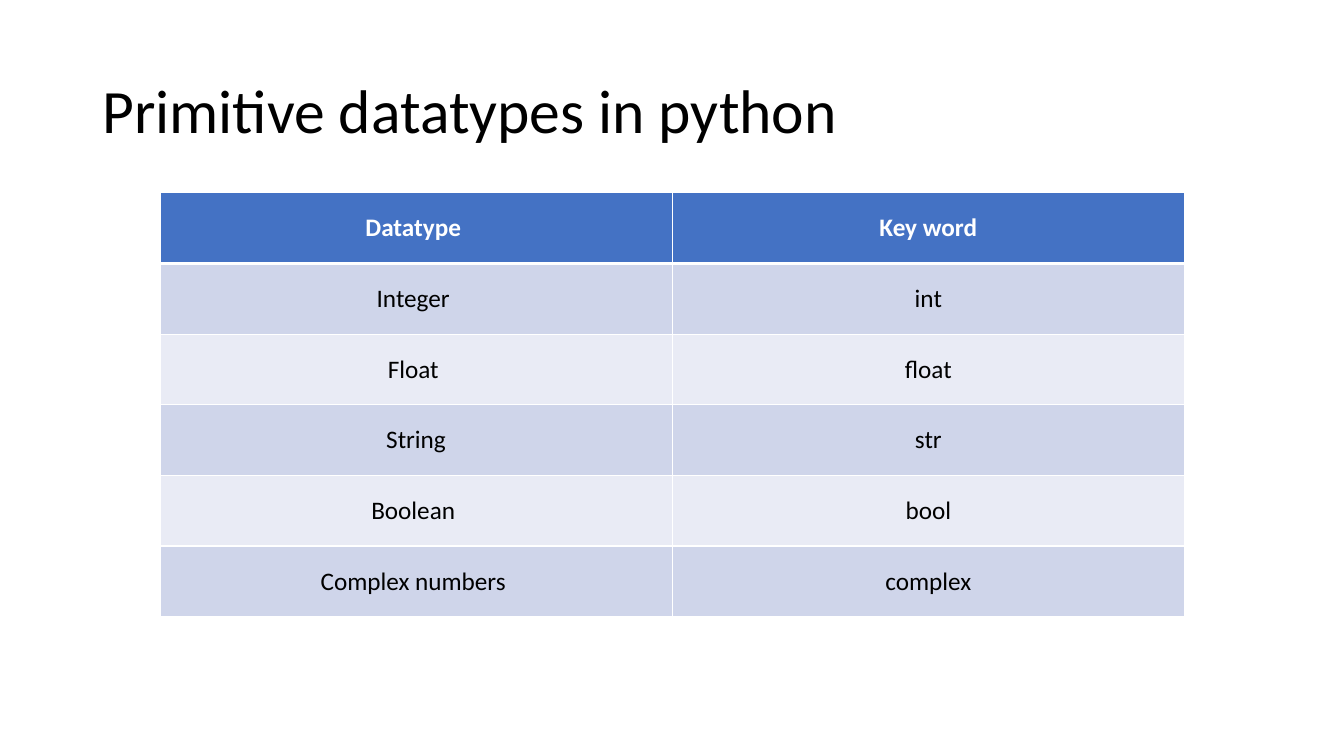
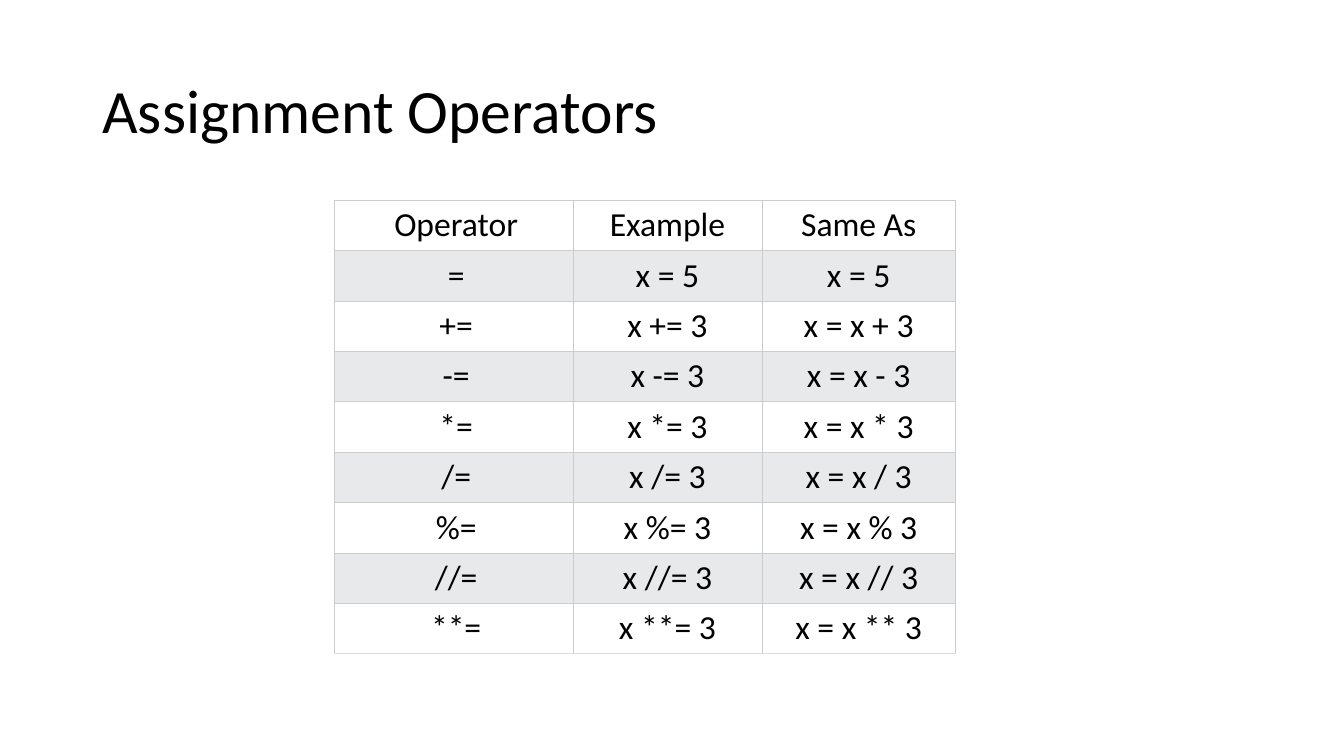
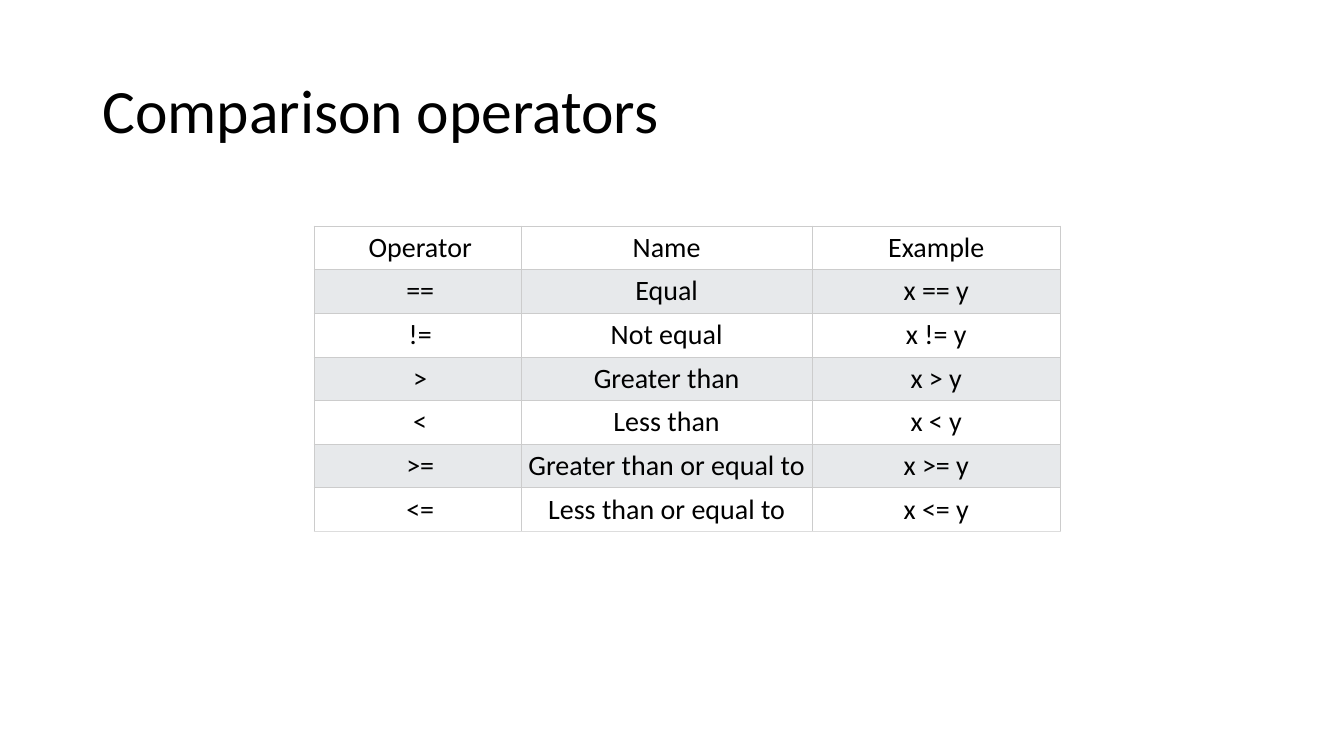
from dataclasses import dataclass

from lxml import etree
from pptx import Presentation
from pptx.dml.color import RGBColor
from pptx.enum.text import MSO_ANCHOR, PP_ALIGN
from pptx.oxml.ns import qn
from pptx.util import Cm, Pt

LEFT, MID = PP_ALIGN.LEFT, PP_ALIGN.CENTER
TOP, CENTER = MSO_ANCHOR.TOP, MSO_ANCHOR.MIDDLE
FONT = "Calibri"

HUES = {
    "ink": "000000",
    "white": "FFFFFF",
    "blue": "4472C4",
    "dark band": "CFD5EA",
    "light band": "E9EBF5",
    "gray": "E7E9EB",
    "line": "CCCCCC",
    "foot": "DDDDDD",
}


@dataclass(frozen=True)
class Look:
    """Colours, rules and insets of a table; lengths in cm, lines in points."""
    head: str
    bands: tuple[str, str]
    ink: str
    bold: bool
    line: str
    foot: str
    thin: float
    thick: float
    anchor: MSO_ANCHOR
    first: float
    side: float
    inset: float


@dataclass(frozen=True)
class Page:
    title: str
    look: Look
    size: int
    left: float
    top: float
    cols: tuple[float, ...]
    height: float
    rows: list[tuple[str, ...]]


BLUE = Look(head="blue", bands=("dark band", "light band"), ink="white", bold=True,
            line="white", foot="white", thin=1, thick=3, anchor=CENTER,
            first=0.25, side=0.25, inset=0.13)
PLAIN = Look(head="white", bands=("gray", "white"), ink="ink", bold=False,
             line="line", foot="foot", thin=0.43, thick=0.43, anchor=TOP,
             first=0.25, side=0.12, inset=0.12)

# Steps of the assignment table that follow one pattern
SIGNS = ("+", "-", "*", "/", "%", "//", "**")

PAGES = [
    Page("Primitive datatypes in python", BLUE, 18, 4.03, 4.86, (12.91, 12.91), 1.78, [
        ("Datatype ", "Key word"),
        ("Integer ", "int"),
        ("Float ", "float"),
        ("String", "str"),
        ("Boolean ", "bool"),
        ("Complex numbers ", "complex"),
    ]),
    Page("Assignment Operators", PLAIN, 24, 8.42, 5.04, (6.02, 4.76, 4.88), 1.27, [
        ("Operator", "Example", "Same As"),
        ("=", "x = 5", "x = 5"),
        *((f"{sign}=", f"x {sign}= 3", f"x = x {sign} 3") for sign in SIGNS),
    ]),
    Page("Comparison operators", PLAIN, 20, 7.91, 5.69, (5.23, 7.32, 6.27), 1.1, [
        ("Operator", "Name", "Example"),
        ("==", "Equal", "x == y"),
        ("!=", "Not equal", "x != y"),
        (">", "Greater than", "x > y"),
        ("<", "Less than", "x < y"),
        (">=", "Greater than or equal to", "x >= y"),
        ("<=", "Less than or equal to", "x <= y"),
    ]),
]


def write(frame, text: str, *, size: int, hue: str = "ink", bold: bool = False,
          align: PP_ALIGN = LEFT, space: float = 1.0) -> None:
    frame.word_wrap = True
    para = frame.paragraphs[0]
    para.alignment = align
    para.line_spacing = space
    run = para.add_run()
    run.text = text
    font = run.font
    font.name, font.size, font.bold = FONT, Pt(size), bold
    font.color.rgb = RGBColor.from_string(HUES[hue])


def add_edge(cell, side: str, hue: str, width: float) -> None:
    line = etree.SubElement(cell._tc.get_or_add_tcPr(), qn(f"a:ln{side}"),
                            w=str(int(Pt(width))))
    fill = etree.SubElement(line, qn("a:solidFill"))
    etree.SubElement(fill, qn("a:srgbClr"), val=HUES[hue])


def add_title(slide, text: str) -> None:
    box = slide.shapes.add_textbox(Cm(2.33), Cm(1.01), Cm(29.21), Cm(3.68))
    box.text_frame.vertical_anchor = CENTER
    write(box.text_frame, text, size=44, space=0.9)


def add_grid(slide, page: Page) -> None:
    look, count = page.look, len(page.rows)
    grid = slide.shapes.add_table(
        count, len(page.cols), Cm(page.left), Cm(page.top),
        Cm(sum(page.cols)), Cm(page.height * count)).table
    for col, width in zip(grid.columns, page.cols):
        col.width = Cm(width)

    # Horizontal rules, from the top edge to the bottom edge
    rules = [(look.line, look.thin)] * count + [(look.foot, look.thin)]
    rules[1] = (look.line, look.thick)

    for i, row in enumerate(page.rows):
        grid.rows[i].height = Cm(page.height)
        head = i == 0
        fill = look.head if head else look.bands[(i - 1) % 2]
        for j, text in enumerate(row):
            cell = grid.cell(i, j)
            cell.vertical_anchor = look.anchor
            cell.margin_left = Cm(look.side if j else look.first)
            cell.margin_right = Cm(look.side)
            cell.margin_top = cell.margin_bottom = Cm(look.inset)
            write(cell.text_frame, text, size=page.size, align=MID,
                  hue=look.ink if head else "ink", bold=head and look.bold)
            # Edges come before the fill in the cell's XML
            for side in "LR":
                add_edge(cell, side, look.line, look.thin)
            add_edge(cell, "T", *rules[i])
            add_edge(cell, "B", *rules[i + 1])
            cell.fill.solid()
            cell.fill.fore_color.rgb = RGBColor.from_string(HUES[fill])


def main() -> None:
    deck = Presentation()
    deck.slide_width, deck.slide_height = Cm(33.87), Cm(19.05)
    blank = deck.slide_layouts[6]
    for page in PAGES:
        slide = deck.slides.add_slide(blank)
        add_title(slide, page.title)
        add_grid(slide, page)
    deck.save("out.pptx")


if __name__ == "__main__":
    main()
